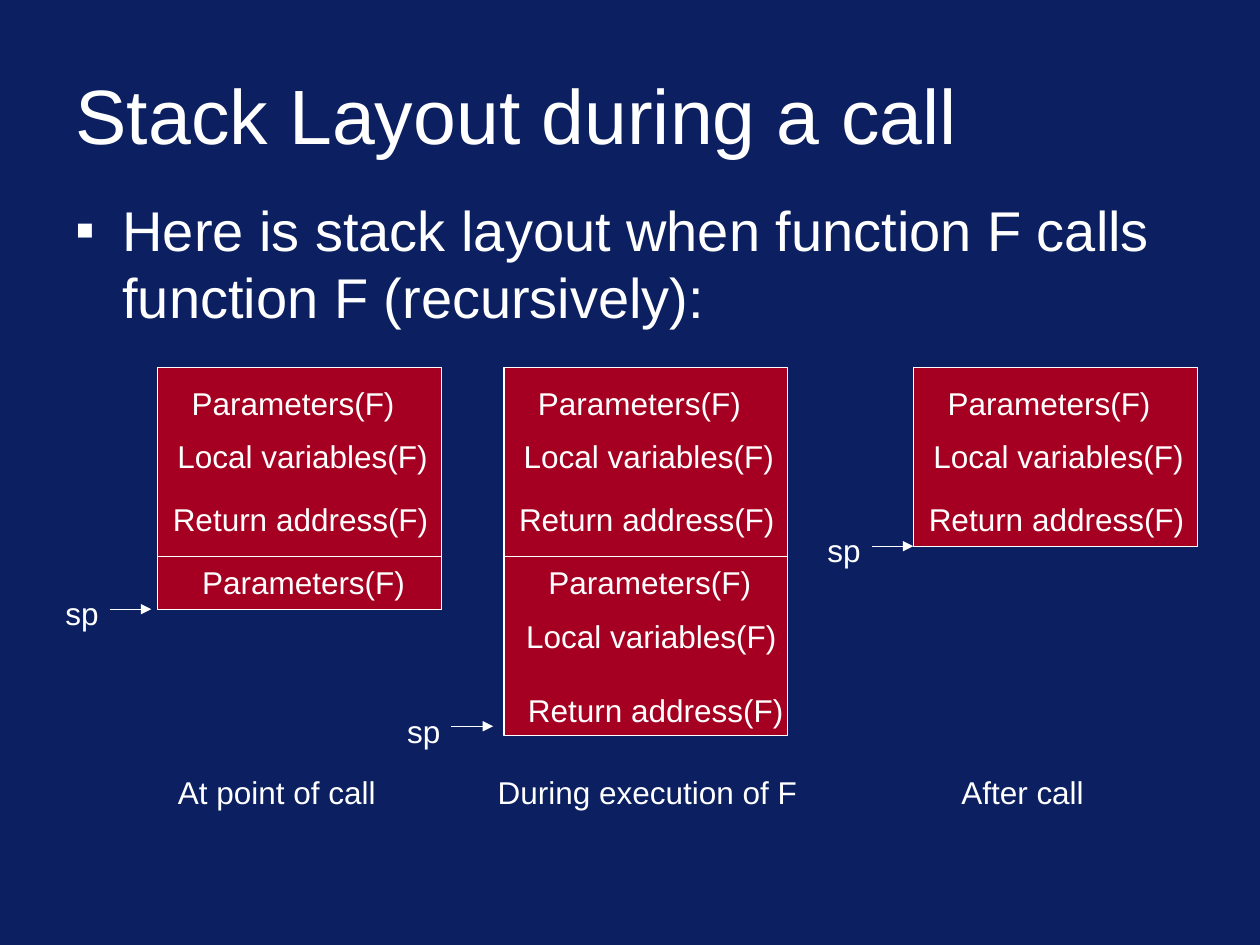
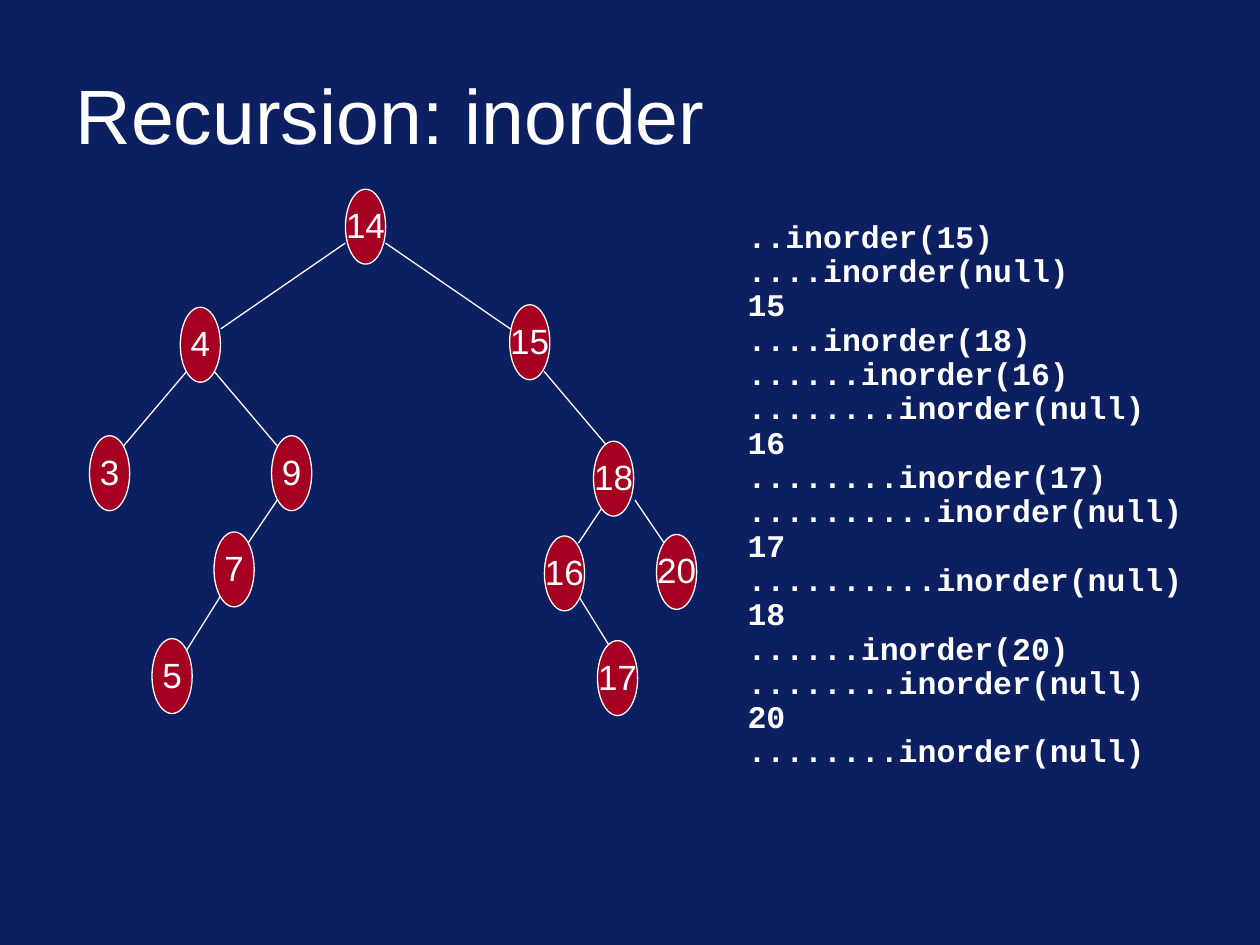
from pptx import Presentation
from pptx.dml.color import RGBColor as Rgb
from pptx.enum.shapes import MSO_CONNECTOR as Link, MSO_SHAPE as Shape
from pptx.enum.text import MSO_ANCHOR as Anchor, MSO_AUTO_SIZE as Fit, PP_ALIGN as Align
from pptx.oxml.ns import qn
from pptx.util import Cm, Pt
from lxml.etree import SubElement

COLORS = {"back": "0B1F61", "box": "A50021", "ink": "FFFFFF"}
INK = Rgb.from_string(COLORS["ink"])
LABEL = {"name": "Arial", "size": Pt(18)}
NODE = {"name": "Arial", "size": Pt(20)}
TITLE = {"name": "Arial", "size": Pt(44)}
BODY = {"name": "Arial", "size": Pt(32)}
CODE = {"name": "Courier New", "size": Pt(18), "bold": True}


def write(shape, lines, font, para_format, frame_format):
    """Fill a shape with one paragraph per line, all formatted alike."""
    frame = shape.text_frame
    for key, value in frame_format.items():
        setattr(frame, key, value)
    for index, line in enumerate(lines):
        para = frame.add_paragraph() if index else frame.paragraphs[0]
        for key, value in para_format.items():
            setattr(para, key, value)
        span = para.add_run()
        span.text = line
        span.font.color.rgb = INK
        for key, value in font.items():
            setattr(span.font, key, value)
    return frame.paragraphs


def draw_line(page, x1, y1, x2, y2, arrow=False):
    """Draw a thin line in centimetres, with an arrowhead if asked."""
    line = page.shapes.add_connector(Link.STRAIGHT, Cm(x1), Cm(y1), Cm(x2), Cm(y2))
    line.line.color.rgb = INK
    line.line.width = Pt(0.75)
    if arrow:
        SubElement(line.line._get_or_add_ln(), qn("a:tailEnd"), type="triangle")
    SubElement(line._element.spPr, qn("a:effectLst"))


deck = Presentation()
deck.slide_width, deck.slide_height = Cm(25.4), Cm(19.05)

# Both pages: background and title
pages = []
for heading in ("Stack Layout during a call", "Recursion: inorder"):
    page = deck.slides.add_slide(deck.slide_layouts[5])
    page.background.fill.solid()
    page.background.fill.fore_color.rgb = Rgb.from_string(COLORS["back"])
    title = page.shapes.title
    place = {"left": 1.27, "top": 1.02, "width": 22.86, "height": 2.54}
    for key, value in place.items():
        setattr(title, key, Cm(value))
    write(title, [heading], TITLE, {"alignment": Align.LEFT},
          {"vertical_anchor": Anchor.MIDDLE, "word_wrap": True})
    pages.append(page)
stack_page, tree_page = pages

# Stack page: bulleted sentence
box = stack_page.shapes.add_textbox(Cm(1.27), Cm(3.81), Cm(22.86), Cm(3.38))
paras = write(box, ["Here is stack layout when function F calls function F (recursively):"],
              BODY, {"space_before": Pt(8)}, {"word_wrap": True})
props = paras[0]._p.get_or_add_pPr()
props.set("marL", str(Cm(0.95)))
props.set("indent", str(-Cm(0.95)))
SubElement(props, qn("a:buFont"), typeface="Arial")
SubElement(props, qn("a:buChar"), char="▪")

# Stack page: three stacks, each showing the first few of the same rows
STACK_TOP, STACK_WIDTH, DIVIDER, LABEL_HEIGHT = 7.41, 5.72, 11.22, 1.02
ROWS = [  # text, offset from the stack's left, top, width
    ("Parameters(F)", 0.43, 7.62, 4.6),
    ("Local variables(F)", 0.1, 8.69, 5.64),
    ("Return address(F)", 0.05, 9.96, 5.66),
    ("Parameters(F)", 0.64, 11.23, 4.6),
    ("Local variables(F)", 0.15, 12.32, 5.64),
    ("Return address(F)", 0.23, 13.8, 5.66),
]
STACKS = [  # left, height, rows shown
    (3.18, 4.88, 4),
    (18.42, 3.61, 3),
    (10.16, 7.42, 6),
]
labels = [
    ("At point of call", 3.33, 15.45, 4.5),
    ("During execution of F", 9.7, 15.45, 6.7),
    ("After call", 19.13, 15.45, 2.97),
]
for left, height, shown in STACKS:
    stack = stack_page.shapes.add_shape(
        Shape.RECTANGLE, Cm(left), Cm(STACK_TOP), Cm(STACK_WIDTH), Cm(height))
    stack.shadow.inherit = False
    stack.fill.solid()
    stack.fill.fore_color.rgb = Rgb.from_string(COLORS["box"])
    stack.line.color.rgb = INK
    stack.line.width = Pt(0.75)
    labels += [(text, left + offset, top, width)
               for text, offset, top, width in ROWS[:shown]]
    if shown > 3:
        draw_line(stack_page, left, DIVIDER, left + STACK_WIDTH, DIVIDER)

# Stack page: stack pointers
for left, top in [(1.07, 11.86), (7.96, 14.22), (16.43, 10.59)]:
    labels.append(("sp", left, top, 1.17))
    draw_line(stack_page, left + 1.14, top + 0.42, left + 1.98, top + 0.42, arrow=True)

# Stack page: row labels, captions and pointer names
for text, left, top, width in labels:
    box = stack_page.shapes.add_textbox(Cm(left), Cm(top), Cm(width), Cm(LABEL_HEIGHT))
    write(box, [text], LABEL, {"alignment": Align.CENTER},
          {"word_wrap": False, "auto_size": Fit.SHAPE_TO_FIT_TEXT})

# Tree page: call trace
TRACE = [
    "..inorder(15)", "....inorder(null)", "15",
    "....inorder(18)", "......inorder(16)", "........inorder(null)", "16",
    "........inorder(17)", "..........inorder(null)", "17",
    "..........inorder(null)", "18",
    "......inorder(20)", "........inorder(null)", "20", "........inorder(null)",
]
box = tree_page.shapes.add_textbox(Cm(13.55), Cm(4.45), Cm(11.23), Cm(13.13))
paras = write(box, TRACE, CODE, {"line_spacing": 0.7, "space_before": Pt(4.5)},
              {"word_wrap": True})
for para in paras:
    para._p.get_or_add_pPr().set("marL", str(Cm(1.27)))

# Tree page: branches from parent to child
BRANCHES = [
    (7.77, 4.9, 10.29, 6.63), (6.96, 4.9, 4.45, 6.63),
    (4.32, 7.49, 5.59, 8.99), (3.76, 7.49, 2.49, 8.99),
    (5.59, 10.08, 5, 10.95), (4.45, 12.01, 3.76, 13.11),
    (10.97, 7.49, 12.24, 8.99), (12.24, 10.08, 11.66, 10.95),
    (12.8, 10.08, 13.39, 10.95), (11.66, 12.01, 12.34, 13.11),
]
for branch in BRANCHES:
    draw_line(tree_page, *branch)

# Tree page: nodes by centre
NODE_WIDTH, NODE_HEIGHT = 0.81, 1.51
NODES = {
    14: (7.37, 4.57), 4: (4.04, 6.95), 3: (2.21, 9.54), 9: (5.88, 9.54),
    7: (4.72, 11.48), 5: (3.47, 13.63), 15: (10.68, 6.9), 18: (12.37, 9.65),
    16: (11.38, 11.56), 20: (13.64, 11.53), 17: (12.45, 13.67),
}
for key_number, (x, y) in NODES.items():
    node = tree_page.shapes.add_shape(
        Shape.OVAL, Cm(x - NODE_WIDTH / 2), Cm(y - NODE_HEIGHT / 2),
        Cm(NODE_WIDTH), Cm(NODE_HEIGHT))
    node.shadow.inherit = False
    node.fill.solid()
    node.fill.fore_color.rgb = Rgb.from_string(COLORS["box"])
    node.line.color.rgb = INK
    node.line.width = Pt(0.75)
    write(node, [str(key_number)], NODE, {"alignment": Align.CENTER},
          {"word_wrap": False, "vertical_anchor": Anchor.MIDDLE,
           "margin_left": 0, "margin_right": 0,
           "margin_top": 0, "margin_bottom": Cm(0.08)})

deck.save("out.pptx")
